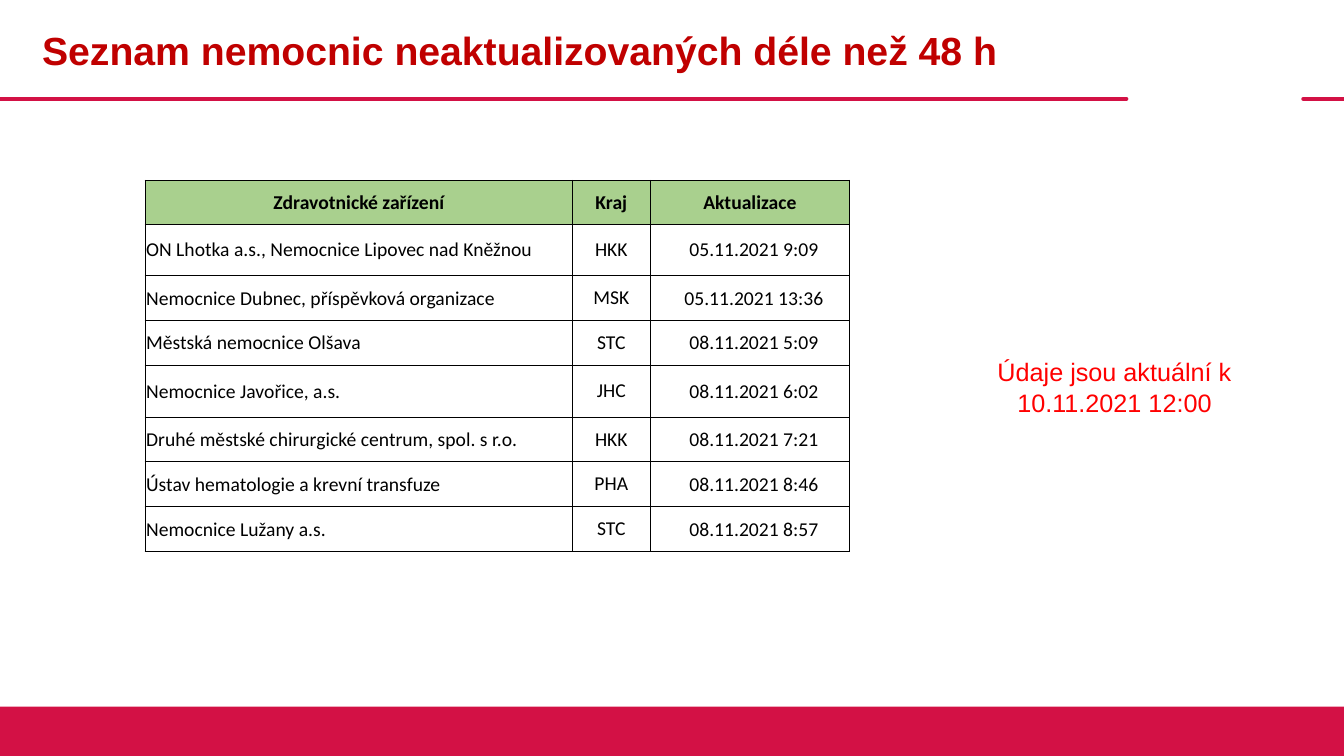
from dataclasses import dataclass

from lxml import etree
from pptx import Presentation
from pptx.dml.color import RGBColor
from pptx.enum.shapes import MSO_CONNECTOR, MSO_SHAPE
from pptx.enum.text import MSO_ANCHOR, PP_ALIGN
from pptx.oxml.ns import qn
from pptx.util import Pt

LEFT, CENTER = PP_ALIGN.LEFT, PP_ALIGN.CENTER
TOP, MIDDLE = MSO_ANCHOR.TOP, MSO_ANCHOR.MIDDLE
STRAIGHT = MSO_CONNECTOR.STRAIGHT
RECTANGLE = MSO_SHAPE.RECTANGLE


@dataclass(frozen=True)
class Theme:
    brand: str = "D31145"
    title: str = "C00000"
    note: str = "FF0000"
    ink: str = "000000"
    header: str = "A9D08E"
    heading_font: str = "Arial"
    table_font: str = "Calibri"
    title_size: float = 28
    note_size: float = 18
    table_size: float = 14
    rule: float = 3
    outer_border: float = 1
    inner_border: float = 0.5


THEME = Theme()
SLIDE_W, SLIDE_H = 960, 540
COLUMN_WIDTHS = [305.3, 55.4, 142.6]
ROW_HEIGHTS = [31, 37, 32, 32, 37, 32, 32, 32]
COLUMN_ALIGN = [LEFT, CENTER, CENTER]
HEADER_MARGINS = (0.7, 0.7, 0.7, 0)
COLUMN_MARGINS = [HEADER_MARGINS, (0.7, 5.8, 0.7, 5.8), (6.5, 0.7, 0.7, 0)]
ROWS = [
    ("Zdravotnické zařízení", "Kraj", "Aktualizace"),
    ("ON Lhotka a.s., Nemocnice Lipovec nad Kněžnou", "HKK", "05.11.2021 9:09"),
    ("Nemocnice Dubnec, příspěvková organizace", "MSK", "05.11.2021 13:36"),
    ("Městská nemocnice Olšava", "STC", "08.11.2021 5:09"),
    ("Nemocnice Javořice, a.s.", "JHC", "08.11.2021 6:02"),
    ("Druhé městské chirurgické centrum, spol. s r.o.", "HKK", "08.11.2021 7:21"),
    ("Ústav hematologie a krevní transfuze", "PHA", "08.11.2021 8:46"),
    ("Nemocnice Lužany a.s.", "STC", "08.11.2021 8:57"),
]


def rgb(color):
    return RGBColor.from_string(color)


def write(p, text, size, font, color, bold=False, align=LEFT):
    p.alignment = align
    r = p.add_run()
    r.text = text
    r.font.size = Pt(size)
    r.font.name = font
    r.font.bold = bold
    r.font.color.rgb = rgb(color)


def add_rule(s, x1, x2, y):
    line = s.shapes.add_connector(STRAIGHT, Pt(x1), Pt(y), Pt(x2), Pt(y))
    line.line.color.rgb = rgb(THEME.brand)
    line.line.width = Pt(THEME.rule)
    line.line._get_or_add_ln().set("cap", "rnd")
    etree.SubElement(line._element.spPr, qn("a:effectLst"))


def add_text_box(s, x, y, w, h):
    tf = s.shapes.add_textbox(Pt(x), Pt(y), Pt(w), Pt(h)).text_frame
    tf.word_wrap = True
    tf.vertical_anchor = TOP
    return tf


def add_header(s, x, y, w, h):
    rule_y = y + h
    add_rule(s, x, x + 804.5, rule_y)
    add_rule(s, x + 931, x + w, rule_y)
    p = add_text_box(s, x + 23, y + 18.7, 778.3, 70.6).paragraphs[0]
    p.line_spacing = 0.9
    write(p, "Seznam nemocnic neaktualizovaných déle než 48 h",
          THEME.title_size, THEME.heading_font, THEME.title, bold=True)


def add_footer(s, x, y, w, h):
    sp = s.shapes.add_shape(RECTANGLE, Pt(x), Pt(y), Pt(w), Pt(h))
    sp.shadow.inherit = False
    sp.fill.solid()
    sp.fill.fore_color.rgb = rgb(THEME.brand)
    sp.line.fill.background()


def add_note(s, x, y, w, h):
    p = add_text_box(s, x, y, w, h).paragraphs[0]
    write(p, "Údaje jsou aktuální k 10.11.2021 12:00",
          THEME.note_size, THEME.heading_font, THEME.note, align=CENTER)


def set_borders(cell, outer_sides):
    tc_pr = cell._tc.get_or_add_tcPr()
    for i, side in enumerate("LRTB"):
        width = THEME.outer_border if side in outer_sides else THEME.inner_border
        ln = etree.Element(qn(f"a:ln{side}"), w=str(Pt(width)))
        fill = etree.SubElement(ln, qn("a:solidFill"))
        etree.SubElement(fill, qn("a:srgbClr"), val=THEME.ink)
        tc_pr.insert(i, ln)


def fill_cell(cell, text, row, col):
    is_header = row == 0
    margins = HEADER_MARGINS if is_header else COLUMN_MARGINS[col]
    (cell.margin_left, cell.margin_top,
     cell.margin_right, cell.margin_bottom) = map(Pt, margins)
    cell.vertical_anchor = MIDDLE
    if is_header:
        cell.fill.solid()
        cell.fill.fore_color.rgb = rgb(THEME.header)
    else:
        cell.fill.background()
    set_borders(cell, ("L", "", "R")[col] + ("T" if is_header else ""))
    write(cell.text_frame.paragraphs[0], text, THEME.table_size,
          THEME.table_font, THEME.ink, bold=is_header,
          align=CENTER if is_header else COLUMN_ALIGN[col])


def add_hospital_table(s, x, y):
    table = s.shapes.add_table(
        len(ROWS), len(COLUMN_WIDTHS), Pt(x), Pt(y),
        Pt(sum(COLUMN_WIDTHS)), Pt(sum(ROW_HEIGHTS))).table
    table.first_row = False
    table.horz_banding = False
    for column, width in zip(table.columns, COLUMN_WIDTHS):
        column.width = Pt(width)
    for i, (height, values) in enumerate(zip(ROW_HEIGHTS, ROWS)):
        table.rows[i].height = Pt(height)
        for j, text in enumerate(values):
            fill_cell(table.cell(i, j), text, i, j)


def main():
    prs = Presentation()
    prs.slide_width, prs.slide_height = Pt(SLIDE_W), Pt(SLIDE_H)
    s = prs.slides.add_slide(prs.slide_layouts[6])
    add_header(s, 0, 0, SLIDE_W, 70.6)
    add_footer(s, 0, 504.7, SLIDE_W, SLIDE_H - 504.7)
    add_note(s, 704.2, 251.3, 183.6, 51)
    add_hospital_table(s, 103.7, 128.9)
    prs.save("out.pptx")


if __name__ == "__main__":
    main()
